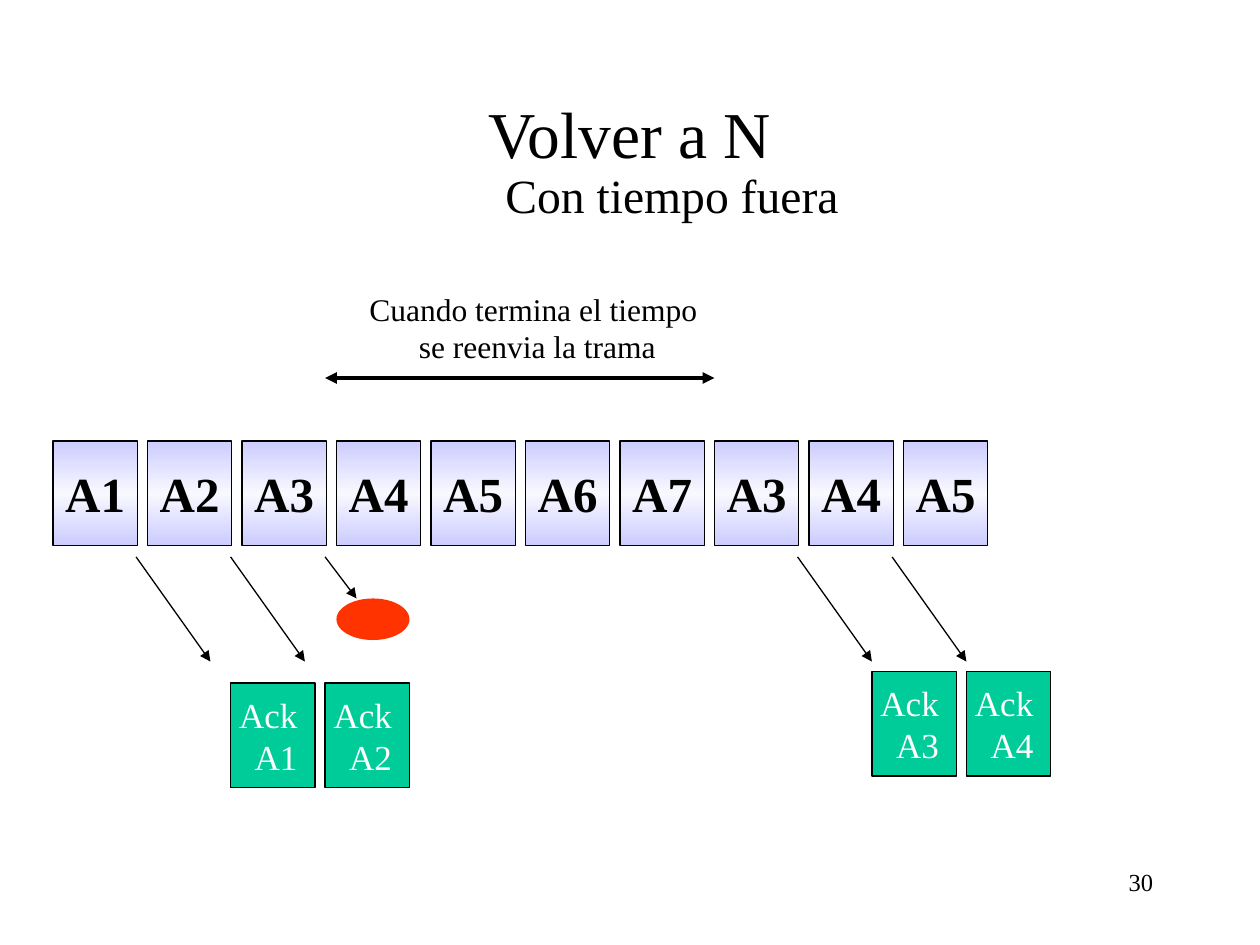
"""Build the go-back-N slide with its frames, acknowledgements and timeout."""
import copy

import pptx
import pptx.dml.color
import pptx.enum.shapes
import pptx.enum.text
import pptx.util
from lxml import etree
from pptx.oxml.ns import qn

Inches = pptx.util.Inches
Pt = pptx.util.Pt
ALIGN = pptx.enum.text.PP_ALIGN
ANCHOR = pptx.enum.text.MSO_ANCHOR
SHAPES = pptx.enum.shapes.MSO_SHAPE

COLORS = {
    "ink": "000000",
    "frame_edge": "CCCCFF",
    "frame_middle": "F8F8FF",
    "ack": "00CC99",
    "ack_text": "FFFFFF",
    "lost": "FF3300",
}
PITCH = 0.75
FRAME_LEFT, FRAME_TOP = 0.42, 3.5
BLOCK_WIDTH, BLOCK_HEIGHT = 0.67, 0.83
ARROW_LEFT, ARROW_TOP = 1.08, 4.42
FRAMES = ["A1", "A2", "A3", "A4", "A5", "A6", "A7", "A3", "A4", "A5"]
ACKS = [(1.83, 5.42, ["A1", "A2"]), (6.92, 5.33, ["A3", "A4"])]
ACKED_COLUMNS = [0, 1, 7, 8]
LOST_COLUMN = 2


def rgb(name):
    return pptx.dml.color.RGBColor.from_string(COLORS[name])


def set_values(target, values):
    for attribute, value in values.items():
        setattr(target, attribute, value)


def format_run(run, size, color="ink", bold=False):
    set_values(run.font, {"name": "Times New Roman", "size": Pt(size), "bold": bold})
    run.font.color.rgb = rgb(color)


def write_lines(frame, lines, align, size, color="ink", bold=False):
    frame.text = "\n".join(lines)
    for paragraph in frame.paragraphs:
        paragraph.alignment = align
        format_run(paragraph.runs[0], size, color, bold)


def add_title(slide, heading, subtitle):
    title = slide.shapes.title
    set_values(title, {"left": Inches(0.75), "top": Inches(0.67),
                       "width": Inches(8.5), "height": Inches(1.25)})
    set_values(title.text_frame, {"vertical_anchor": ANCHOR.MIDDLE, "word_wrap": True,
                                  "auto_size": pptx.enum.text.MSO_AUTO_SIZE.NONE})
    paragraph = title.text_frame.paragraphs[0]
    set_values(paragraph, {"alignment": ALIGN.CENTER, "line_spacing": 0.9})
    properties = paragraph._p.get_or_add_pPr()
    properties.set("marL", str(Inches(0.67)))
    properties.set("indent", str(-Inches(0.67)))
    heading_run = paragraph.add_run()
    heading_run.text = heading
    format_run(heading_run, 37.4)
    paragraph.add_line_break()
    etree.SubElement(paragraph._p.find(qn("a:br")), qn("a:rPr"), sz="3740")
    subtitle_run = paragraph.add_run()
    subtitle_run.text = subtitle
    format_run(subtitle_run, 27.2)


def add_label(slide, place, lines, align, size):
    label = slide.shapes.add_textbox(*map(Inches, place))
    label.text_frame.word_wrap = True
    write_lines(label.text_frame, lines, align, size)


def add_block(slide, left, top, lines, size, color="ink", bold=False):
    block = slide.shapes.add_shape(
        SHAPES.RECTANGLE, *map(Inches, (left, top, BLOCK_WIDTH, BLOCK_HEIGHT)))
    block.shadow.inherit = False
    block.line.color.rgb = rgb("ink")
    block.line.width = Pt(0.75)
    set_values(block.text_frame, {"word_wrap": False, "vertical_anchor": ANCHOR.MIDDLE})
    write_lines(block.text_frame, lines, ALIGN.CENTER, size, color, bold)
    return block


def add_frame(slide, column, name):
    frame = add_block(slide, FRAME_LEFT + PITCH * column, FRAME_TOP, [name], 28, bold=True)
    frame.fill.gradient()
    frame.fill.gradient_angle = 90
    stop_list = frame._element.spPr.find(".//" + qn("a:gsLst"))
    stop_list.insert(1, copy.deepcopy(stop_list[0]))
    shades = [(0, "frame_edge"), (0.5, "frame_middle"), (1, "frame_edge")]
    for stop, (position, shade) in zip(frame.fill.gradient_stops, shades):
        stop.position = position
        stop.color.rgb = rgb(shade)


def add_ack(slide, left, top, name):
    ack = add_block(slide, left, top, ["Ack ", " " + name], 20, "ack_text")
    ack.fill.solid()
    ack.fill.fore_color.rgb = rgb("ack")


def add_lost_mark(slide):
    lost = slide.shapes.add_shape(SHAPES.OVAL, *map(Inches, (2.67, 4.75, 0.58, 0.33)))
    lost.shadow.inherit = False
    lost.fill.solid()
    lost.fill.fore_color.rgb = rgb("lost")
    lost.line.fill.background()


def add_arrow(slide, start, end, width=0.75, ends=("tailEnd",)):
    arrow = slide.shapes.add_connector(
        pptx.enum.shapes.MSO_CONNECTOR.STRAIGHT, *map(Inches, (*start, *end)))
    arrow.line.color.rgb = rgb("ink")
    arrow.line.width = Pt(width)
    properties = arrow._element.spPr
    for end_name in ends:
        etree.SubElement(properties.find(qn("a:ln")), qn("a:" + end_name), type="triangle")
    etree.SubElement(properties, qn("a:effectLst"))


def add_sending_arrow(slide, column, run, drop):
    left = ARROW_LEFT + PITCH * column
    add_arrow(slide, (left, ARROW_TOP), (left + run, ARROW_TOP + drop))


def main():
    deck = pptx.Presentation()
    set_values(deck, {"slide_width": Inches(10), "slide_height": Inches(7.5)})
    slide = deck.slides.add_slide(deck.slide_layouts[5])
    add_title(slide, "Volver a N", "Con tiempo fuera")
    add_label(slide, (7.17, 6.83, 2.08, 0.5), ["30"], ALIGN.RIGHT, 14)
    for column, name in enumerate(FRAMES):
        add_frame(slide, column, name)
    for left, top, names in ACKS:
        for column, name in enumerate(names):
            add_ack(slide, left + PITCH * column, top, name)
    for column in ACKED_COLUMNS:
        add_sending_arrow(slide, column, 0.59, 0.83)
    add_sending_arrow(slide, LOST_COLUMN, 0.25, 0.33)
    add_lost_mark(slide)
    add_arrow(slide, (2.58, 3), (5.67, 3), 2.25, ("headEnd", "tailEnd"))
    add_label(slide, (2.83, 2.25, 2.87, 1),
              ["Cuando termina el tiempo ", "se reenvia la trama"], ALIGN.CENTER, 18)
    deck.save("out.pptx")


if __name__ == "__main__":
    main()
